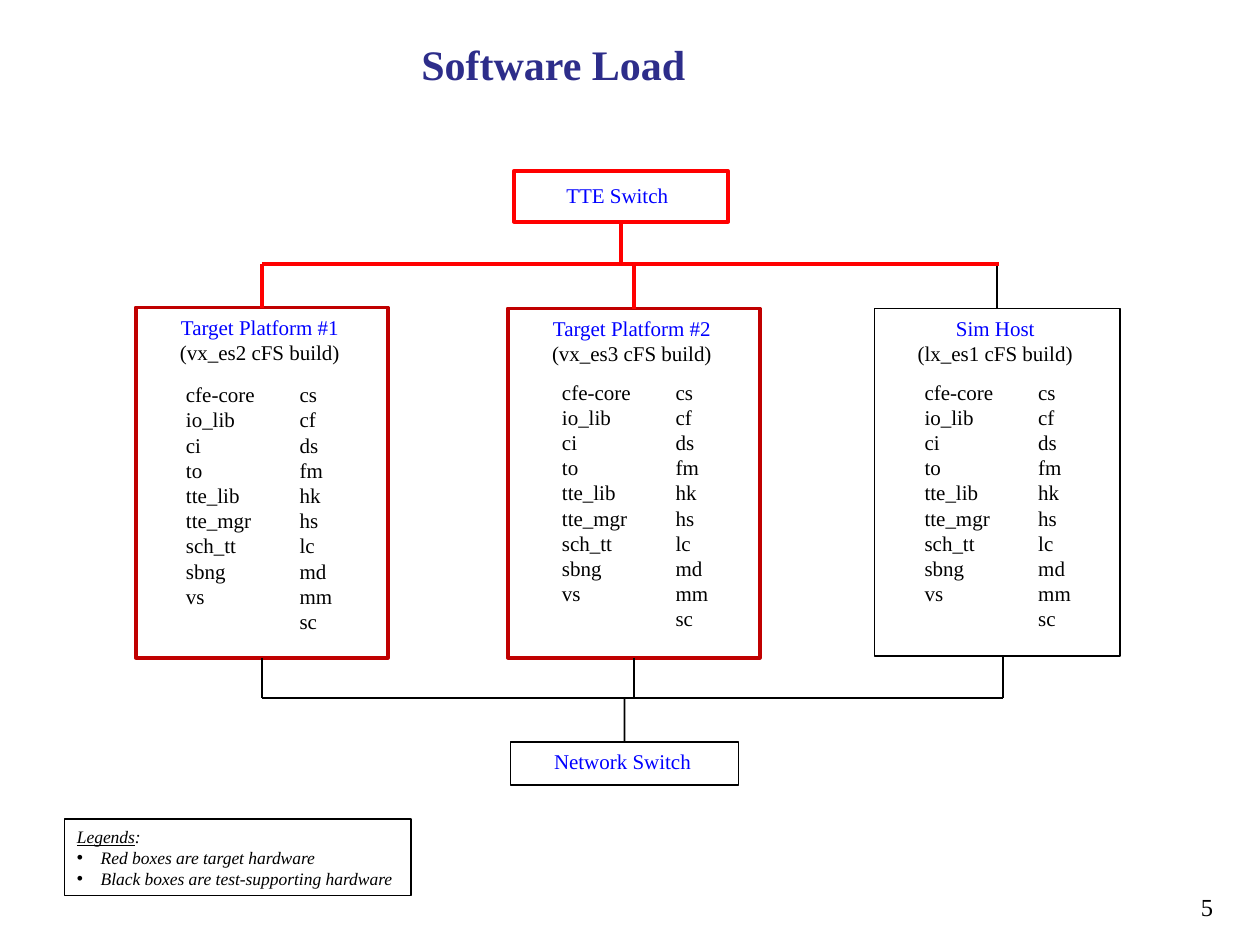
import pptx
import pptx.dml.color
import pptx.enum.shapes
import pptx.enum.text
import pptx.oxml
import pptx.oxml.ns
import pptx.util

Cm, Pt = pptx.util.Cm, pptx.util.Pt
Align = pptx.enum.text.PP_ALIGN

BLACK, RED, DARK_RED, BLUE, NAVY = "000000", "FF0000", "C00000", "0000FF", "2D2D8A"
TOP_BUS, BOTTOM_BUS = 5.33, 14.07
TOP_SITE, BOTTOM_SITE = 0, 2
CORE_APPS = "cfe-core io_lib ci to tte_lib tte_mgr sch_tt sbng vs".split()
SHARED_APPS = "cs cf ds fm hk hs lc md mm sc".split()

# Each box is (left, top, width, height) in centimetres.
TTE_BOX = (10.36, 3.45, 4.32, 1.02)
NETWORK_BOX = (10.29, 14.96, 4.6, 0.86)
PLATFORMS = [
    {"name": "Target Platform #1", "build": "(vx_es2 cFS build)", "box": (2.74, 6.2, 5.08, 7.06),
     "apps_at": (0.76, 1.37), "border": (DARK_RED, 2.25), "bus_line": (RED, 2.25)},
    {"name": "Target Platform #2", "build": "(vx_es3 cFS build)", "box": (10.24, 6.22, 5.08, 7.04),
     "apps_at": (0.84, 1.3), "border": (DARK_RED, 2.25), "bus_line": (RED, 2.25)},
    {"name": "Sim Host", "build": "(lx_es1 cFS build)", "box": (17.63, 6.22, 4.95, 7.01),
     "apps_at": (0.76, 1.3), "border": (BLACK, 1), "bus_line": (BLACK, 1)},
]


def color(hex_value):
    return pptx.dml.color.RGBColor.from_string(hex_value)


def add_run(paragraph, text, hex_value=BLACK, **formats):
    run = paragraph.add_run()
    run.text = text
    run.font.color.rgb = color(hex_value)
    for name, value in {"name": "Times New Roman", "size": Pt(12), **formats}.items():
        setattr(run.font, name, value)


def fill_lines(frame, lines, alignment=Align.LEFT, **formats):
    """Write one paragraph for each (text, colour) pair."""
    for index, (text, hex_value) in enumerate(lines):
        paragraph = frame.paragraphs[0] if index == 0 else frame.add_paragraph()
        paragraph.alignment = alignment
        if len(lines) > 1:
            paragraph.line_spacing = Pt(14.4)
        add_run(paragraph, text, hex_value, **formats)


def add_text(slide, box, lines, alignment=Align.LEFT, wrap=False, **formats):
    frame = slide.shapes.add_textbox(*map(Cm, box)).text_frame
    frame.word_wrap = wrap
    if not wrap:
        frame.auto_size = pptx.enum.text.MSO_AUTO_SIZE.SHAPE_TO_FIT_TEXT
    fill_lines(frame, lines, alignment, **formats)
    return frame


def add_frame(slide, box, hex_value, width):
    shape = slide.shapes.add_shape(pptx.enum.shapes.MSO_SHAPE.RECTANGLE, *map(Cm, box))
    shape.shadow.inherit = False
    shape.fill.background()
    shape.line.color.rgb = color(hex_value)
    shape.line.width = Pt(width)
    return shape


def add_line(slide, start, end, hex_value, width):
    line = slide.shapes.add_connector(
        pptx.enum.shapes.MSO_CONNECTOR.STRAIGHT, *map(Cm, (*start, *end)))
    line.line.color.rgb = color(hex_value)
    line.line.width = Pt(width)
    line._element.spPr.append(pptx.oxml.parse_xml(
        f"<a:effectLst {pptx.oxml.ns.nsdecls('a')}/>"))
    return line


def join_to_bus(slide, shape, box, site, bus, line_format):
    """Run a vertical line from the middle of a box's side to a bus."""
    left, top, width, height = box
    center = left + width / 2
    edge = top if site == TOP_SITE else top + height
    line = add_line(slide, (center, edge), (center, bus), *line_format)
    line.begin_connect(shape, site)


def add_title(slide, box):
    frame = add_text(slide, box, [("Software Load", NAVY)], Align.CENTER, True,
                     size=Pt(24), bold=True)
    frame.vertical_anchor = pptx.enum.text.MSO_ANCHOR.MIDDLE


def add_switch(slide, box, name, label, site, bus, line_format):
    """Draw a switch; label is (offset x, offset y, width) inside the box."""
    left, top = box[:2]
    shape = add_frame(slide, box, *line_format)
    add_text(slide, (left + label[0], top + label[1], label[2], 0.76),
             [(name, BLUE)], Align.CENTER)
    join_to_bus(slide, shape, box, site, bus, line_format)


def add_platform(slide, box, name, build, apps_at, border, bus_line):
    left, top, width, height = box
    shape = add_frame(slide, box, *border)
    heading_width = 3.73
    add_text(slide, (left + (width - heading_width) / 2 - 0.04, top + 0.02, heading_width, 1.27),
             [(name, BLUE), (build, BLACK)], Align.CENTER)
    apps_left, apps_top = left + apps_at[0], top + apps_at[1]
    for offset, column_width, apps in ((0, 1.93, CORE_APPS), (2.29, 1.17, SHARED_APPS)):
        add_text(slide, (apps_left + offset, apps_top, column_width, 0.51 * len(apps) + 0.25),
                 [(app, BLACK) for app in apps])
    join_to_bus(slide, shape, box, TOP_SITE, TOP_BUS, bus_line)
    if name == "Sim Host":
        add_line(slide, (20.22, top + height), (20.22, BOTTOM_BUS), BLACK, 1)
    else:
        join_to_bus(slide, shape, box, BOTTOM_SITE, BOTTOM_BUS, (BLACK, 1))


def add_legend(slide, box):
    frame = add_frame(slide, box, BLACK, 0.75).text_frame
    frame.word_wrap = False
    formats = {"size": Pt(10), "italic": True}
    heading = frame.paragraphs[0]
    add_run(heading, "Legends", underline=True, **formats)
    add_run(heading, ":", **formats)
    for text in ("Red boxes are target hardware", "Black boxes are test-supporting hardware"):
        paragraph = frame.add_paragraph()
        properties = paragraph._p.get_or_add_pPr()
        properties.set("marL", str(Cm(0.48)))
        properties.set("indent", str(-Cm(0.48)))
        for element in ('buFont {} typeface="Arial"', 'buChar {} char="•"'):
            properties.append(pptx.oxml.parse_xml(
                f"<a:{element.format(pptx.oxml.ns.nsdecls('a'))}/>"))
        add_run(paragraph, text, **formats)
    for paragraph in frame.paragraphs:
        paragraph.alignment = Align.LEFT
        paragraph.line_spacing = Pt(12)


def main():
    presentation = pptx.Presentation()
    presentation.slide_width, presentation.slide_height = Cm(25.4), Cm(19.05)
    slide = presentation.slides.add_slide(presentation.slide_layouts[6])

    add_title(slide, (3.18, 0.64, 15.95, 1.27))
    add_switch(slide, TTE_BOX, "TTE Switch", (0.79, 0.11, 2.59),
               BOTTOM_SITE, TOP_BUS, (RED, 2.25))
    add_switch(slide, NETWORK_BOX, "Network Switch", (0.61, 0, 3.3),
               TOP_SITE, BOTTOM_BUS, (BLACK, 1))
    for platform in PLATFORMS:
        add_platform(slide, **platform)
    add_line(slide, (5.28, TOP_BUS), (20.14, TOP_BUS), RED, 2.25)
    add_line(slide, (5.28, BOTTOM_BUS), (20.22, BOTTOM_BUS), BLACK, 1)
    add_legend(slide, (1.3, 16.51, 6.99, 1.55))
    add_text(slide, (23.7, 17.86, 1.27, 0.84), [("5", BLACK)], Align.CENTER, True, size=Pt(14))

    presentation.save("out.pptx")


if __name__ == "__main__":
    main()
